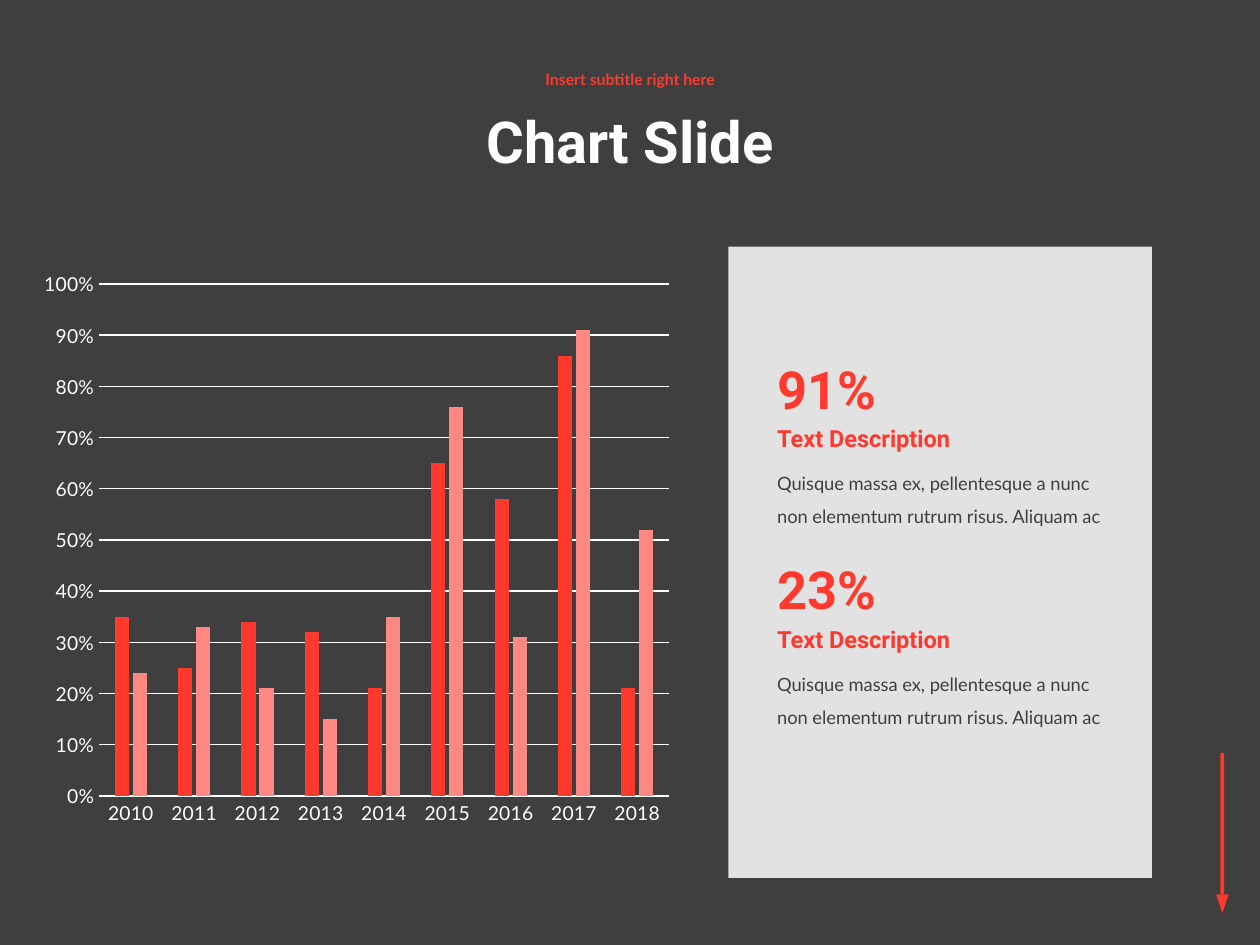
from lxml import etree
from pptx import Presentation
from pptx.chart.data import CategoryChartData as ChartData
from pptx.dml.color import RGBColor as RGB
from pptx.enum.chart import XL_CHART_TYPE as CHART, XL_TICK_MARK as TICK
from pptx.enum.shapes import MSO_SHAPE as SHAPE
from pptx.enum.text import MSO_ANCHOR as ANCHOR, PP_ALIGN as ALIGN
from pptx.oxml.ns import qn
from pptx.util import Pt

HUES = {"dark": "3F3F3F", "red": "FF392E", "pink": "FF8882", "white": "FFFFFF"}
HUES = {name: RGB.from_string(code) for name, code in HUES.items()}
FORMATS = {
    "title": {"size": Pt(33), "name": "Roboto", "bold": True},
    "subtitle": {"size": Pt(9), "name": "Lato", "bold": True},
    "figure": {"size": Pt(30), "name": "Roboto", "bold": True},
    "label": {"size": Pt(13.5), "name": "Roboto", "bold": True},
    "body": {"size": Pt(10.5), "name": "Lato", "bold": False},
    "chart": {"size": Pt(11), "name": "Lato", "bold": False},
}


def add_text(words, box, style, hue, spacing=1.0, align=ALIGN.LEFT, anchor=ANCHOR.TOP):
    frame = slide.shapes.add_textbox(*map(Pt, box)).text_frame
    frame.word_wrap = True
    frame.vertical_anchor = anchor
    para = frame.paragraphs[0]
    para.alignment, para.line_spacing = align, spacing
    run = para.add_run()
    run.text = words
    for key, value in FORMATS[style].items():
        setattr(run.font, key, value)
    run.font.color.rgb = HUES[hue]


def add_block(kind, box, hue):
    block = slide.shapes.add_shape(kind, *map(Pt, box))
    block.shadow.inherit = False
    block.fill.solid()
    block.fill.fore_color.rgb = HUES[hue]
    block.line.fill.background()
    return block


deck = Presentation()
deck.slide_width, deck.slide_height = Pt(720), Pt(540)
slide = deck.slides.add_slide(deck.slide_layouts[6])
slide.background.fill.solid()
slide.background.fill.fore_color.rgb = HUES["dark"]

# Down arrow in the corner
add_block(SHAPE.RECTANGLE, (697.4, 430.2, 2.2, 80.8), "red")
add_block(SHAPE.ISOSCELES_TRIANGLE, (694.9, 511, 7.2, 10.8), "red").rotation = 180

# Headings
add_text("Chart Slide", (157.5, 46, 405, 74), "title", "white", 0.9,
         ALIGN.CENTER, ANCHOR.MIDDLE)
add_text("Insert subtitle right here", (157.5, 32.4, 405, 27.4), "subtitle", "red", 0.9,
         ALIGN.CENTER, ANCHOR.MIDDLE)

# Translucent panel
panel = add_block(SHAPE.RECTANGLE, (416.2, 141, 242, 360.7), "white")
tint = panel.fill._xPr.find(".//" + qn("a:srgbClr"))
etree.SubElement(tint, qn("a:alpha")).set("val", "85000")

# Column chart
data = ChartData(number_format="0%")
data.categories = [str(year) for year in range(2010, 2019)]
data.add_series("Series 1", (0.35, 0.25, 0.34, 0.32, 0.21, 0.65, 0.58, 0.86, 0.21))
data.add_series("Series 2", (0.24, 0.33, 0.21, 0.15, 0.35, 0.76, 0.31, 0.91, 0.52))
box = map(Pt, (23.8, 155.5, 365.8, 332.6))
chart = slide.shapes.add_chart(CHART.COLUMN_CLUSTERED, *box, data).chart
chart.has_legend = chart.has_title = False
for key, value in FORMATS["chart"].items():
    setattr(chart.font, key, value)
chart.font.color.rgb = HUES["white"]

plot = chart.plots[0]
plot.gap_width, plot.overlap, plot.vary_by_categories = 219, -27, False
for series, hue in zip(plot.series, ("red", "pink")):
    series.format.fill.solid()
    series.format.fill.fore_color.rgb = HUES[hue]

years, scale = chart.category_axis, chart.value_axis
for axis in (years, scale):
    axis.major_tick_mark = axis.minor_tick_mark = TICK.NONE
scale.minimum_scale, scale.maximum_scale, scale.major_unit = 0, 1, 0.1
scale.tick_labels.number_format = "0%"
scale.tick_labels.number_format_is_linked = False
scale.format.line.fill.background()
for line in (years.format.line, scale.major_gridlines.format.line):
    line.color.rgb = HUES["white"]
    line.width = Pt(0.75)

# Fixed inner plot area
area = chart._chartSpace.find(".//" + qn("c:plotArea"))
layout = area.find(qn("c:layout"))
if layout is None:
    layout = etree.Element(qn("c:layout"))
    area.insert(0, layout)
manual = etree.SubElement(layout, qn("c:manualLayout"))
for tag, value in (("layoutTarget", "inner"), ("xMode", "edge"), ("yMode", "edge"),
                   ("x", 0.09), ("y", 0.02), ("w", 0.89), ("h", 0.88)):
    etree.SubElement(manual, qn("c:" + tag)).set("val", str(value))

# Key figures on the panel
for row, figure in enumerate(("91%", "23%")):
    top = 200.2 + row * 114.8
    add_text(figure, (437, top, 116, 44), "figure", "red")
    add_text("Text Description", (437, top + 38.3, 158, 24), "label", "red")
    add_text("Quisque massa ex, pellentesque a nunc non elementum rutrum risus. Aliquam ac",
             (437, top + 59.8, 201, 43), "body", "dark", 1.5)

deck.save("out.pptx")
